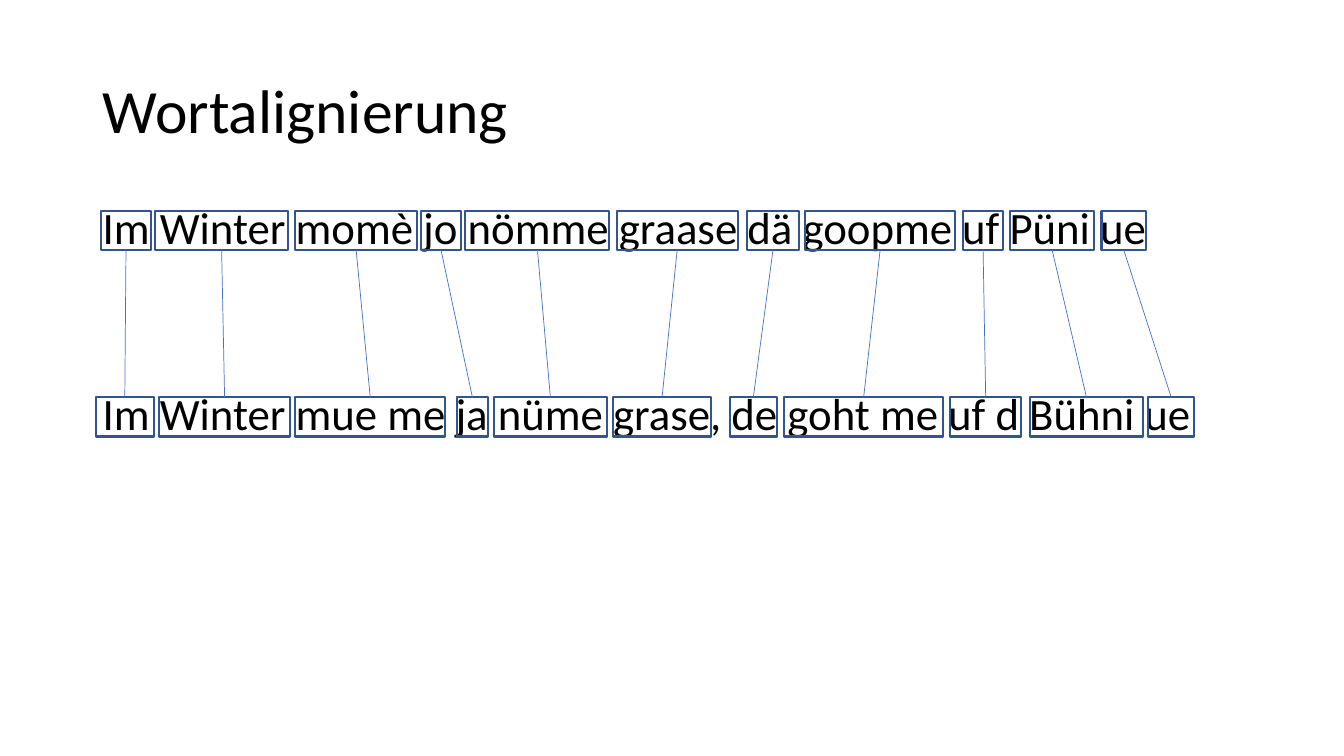
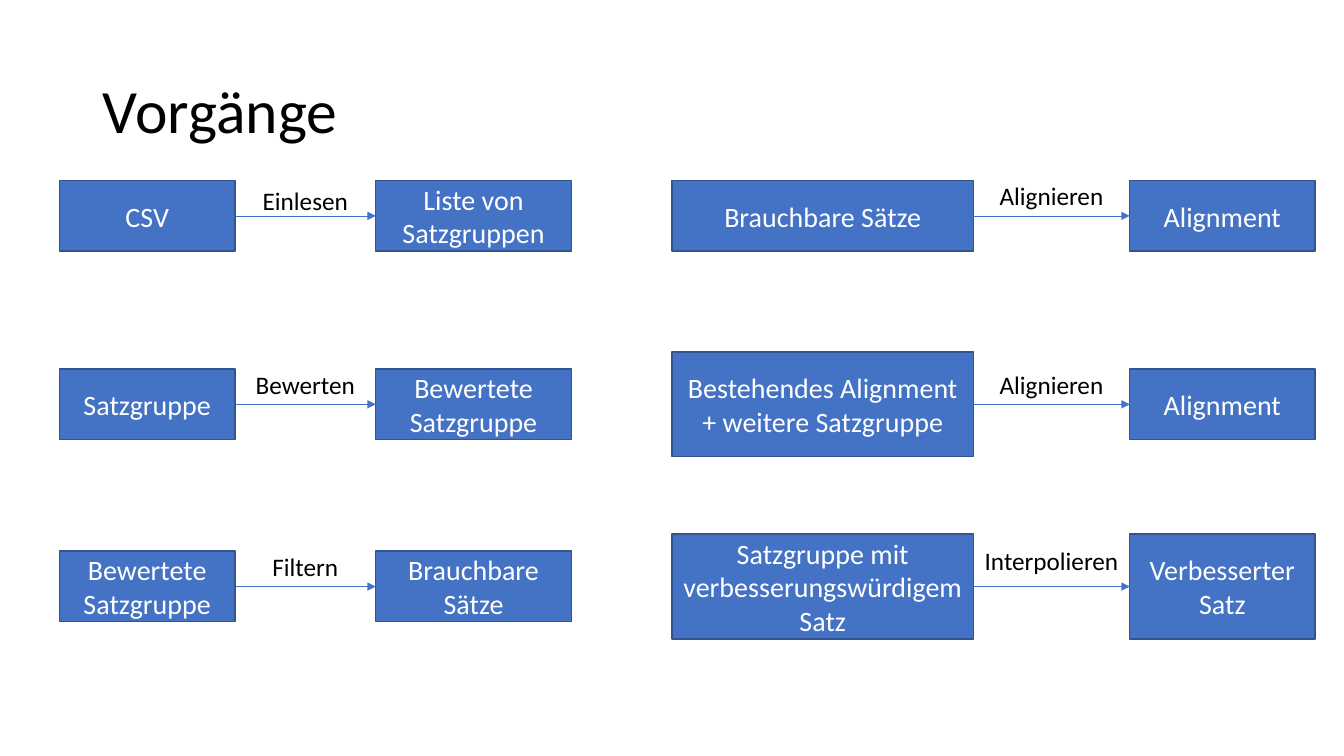
from lxml.etree import SubElement
from pptx import Presentation
from pptx.dml.color import RGBColor
from pptx.enum.shapes import MSO_CONNECTOR as Link, MSO_SHAPE as Form
from pptx.enum.text import MSO_ANCHOR as Anchor, PP_ALIGN as Align
from pptx.oxml.ns import qn
from pptx.util import Cm, Pt

BLUE = RGBColor(0x44, 0x72, 0xC4)
NAVY = RGBColor(0x32, 0x54, 0x91)
BLACK = RGBColor(0, 0, 0)
WHITE = RGBColor(255, 255, 255)
FONT = "Calibri"
TOP, LEFT, BOTTOM, RIGHT = range(4)

# Each row: sentence top, then (word, frame left, frame width) in cm
ROWS = [
    (5.31, [("Im", 2.54, 1.27), ("Winter", 3.91, 3.35),
            ("momè", 7.44, 3.07), ("jo", 10.62, 0.99),
            ("nömme", 11.73, 3.63), ("graase", 15.54, 3.05),
            ("dä", 18.82, 1.32), ("goopme", 20.29, 3.78),
            ("uf", 24.28, 0.99), ("Püni", 25.45, 2.13),
            ("ue", 27.76, 1.12)]),
    (10.01, [("Im", 2.41, 1.47), ("Winter", 4.01, 3.3),
             ("mue me", 7.44, 3.78), ("ja", 11.51, 0.79),
             ("nüme", 12.45, 2.84), ("grase,", 15.44, 2.49),
             ("de", 18.39, 1.19), ("goht me", 19.76, 4.01),
             ("uf d", 23.95, 1.78), ("Bühni", 25.96, 2.84),
             ("ue", 28.93, 1.17)]),
]
FRAME = 0.99

LOW, TALL = 1.78, 2.64
MIDS = [5.44, 10.19, 14.78]
# Each column: (left, width) of input and output, then per row
# (input, height, step, lift of label above arrow, output, height)
COLUMNS = [
    ((1.5, 4.42), (9.47, 4.93), [
        ("CSV", LOW, "Einlesen", 0.89, "Liste von Satzgruppen", LOW),
        ("Satzgruppe", LOW, "Bewerten", 1.02, "Bewertete Satzgruppe", LOW),
        ("Bewertete Satzgruppe", LOW, "Filtern", 1.02,
         "Brauchbare Sätze", LOW)]),
    ((16.94, 7.59), (28.47, 4.67), [
        ("Brauchbare Sätze", LOW, "Alignieren", 1.02, "Alignment", LOW),
        ("Bestehendes Alignment + weitere Satzgruppe", TALL,
         "Alignieren", 1.02, "Alignment", LOW),
        ("Satzgruppe mit verbesserungswürdigem Satz", TALL,
         "Interpolieren", 1.17, "Verbesserter Satz", TALL)]),
]


def style(para, size, color, align):
    para.alignment = align
    para.font.name = FONT
    para.font.size = Pt(size)
    para.font.color.rgb = color


def add_slide(deck, name):
    slide = deck.slides.add_slide(deck.slide_layouts[5])
    title = slide.shapes.title
    title.left, title.top = Cm(2.34), Cm(1.02)
    title.width, title.height = Cm(29.21), Cm(3.68)
    title.text_frame.text = name
    title.text_frame.vertical_anchor = Anchor.MIDDLE
    para = title.text_frame.paragraphs[0]
    para.line_spacing = 0.9
    style(para, 44, BLACK, Align.LEFT)
    return slide


def add_rect(slide, x, y, w, h, weight):
    rect = slide.shapes.add_shape(
        Form.RECTANGLE, Cm(x), Cm(y), Cm(w), Cm(h))
    rect.shadow.inherit = False
    rect.fill.background()
    rect.line.color.rgb = NAVY
    rect.line.width = Pt(weight)
    return rect


def add_box(slide, text, x, mid, w, h):
    """Filled box with white text, centred on the height mid."""
    box = add_rect(slide, x, mid - h / 2, w, h, 1)
    box.fill.solid()
    box.fill.fore_color.rgb = BLUE
    frame = box.text_frame
    frame.text = text
    frame.word_wrap = True
    frame.vertical_anchor = Anchor.MIDDLE
    style(frame.paragraphs[0], 20, WHITE, Align.CENTER)
    return box


def add_text(slide, text, x, y, w, h, size, align):
    frame = slide.shapes.add_textbox(
        Cm(x), Cm(y), Cm(w), Cm(h)).text_frame
    frame.word_wrap = False
    frame.text = text
    para = frame.paragraphs[0]
    style(para, size, BLACK, align)
    return para


def join(slide, start, side, end, other, arrow=False):
    line = slide.shapes.add_connector(Link.STRAIGHT, 0, 0, 0, 0)
    line.begin_connect(start, side)
    line.end_connect(end, other)
    line.line.color.rgb = BLUE
    line.line.width = Pt(0.5)
    if arrow:
        SubElement(line.line._get_or_add_ln(), qn("a:tailEnd"),
                   type="triangle")
    SubElement(line._element.spPr, qn("a:effectLst"))


def add_words(deck):
    slide = add_slide(deck, "Wortalignierung")
    frames = []
    for y, words in ROWS:
        text = " ".join(word for word, _, _ in words)
        para = add_text(slide, text, 2.34, y - 0.25, 29.21, 1.5,
                        32, Align.LEFT)
        para.line_spacing = 0.9
        frames.append([add_rect(slide, x, y, w, FRAME, 1.5)
                       for _, x, w in words])
    for upper, lower in zip(*frames):
        join(slide, upper, BOTTOM, lower, TOP)


def add_steps(deck):
    slide = add_slide(deck, "Vorgänge")
    for (x, w), (x2, w2), steps in COLUMNS:
        for mid, (source, h, step, lift, result, h2) in zip(MIDS, steps):
            start = add_box(slide, source, x, mid, w, h)
            end = add_box(slide, result, x2, mid, w2, h2)
            join(slide, start, RIGHT, end, LEFT, arrow=True)
            add_text(slide, step, x + w, mid - lift, x2 - x - w, 1.02,
                     18, Align.CENTER)


def main():
    deck = Presentation()
    deck.slide_width, deck.slide_height = Cm(33.87), Cm(19.05)
    add_words(deck)
    add_steps(deck)
    deck.save("out.pptx")


if __name__ == "__main__":
    main()
